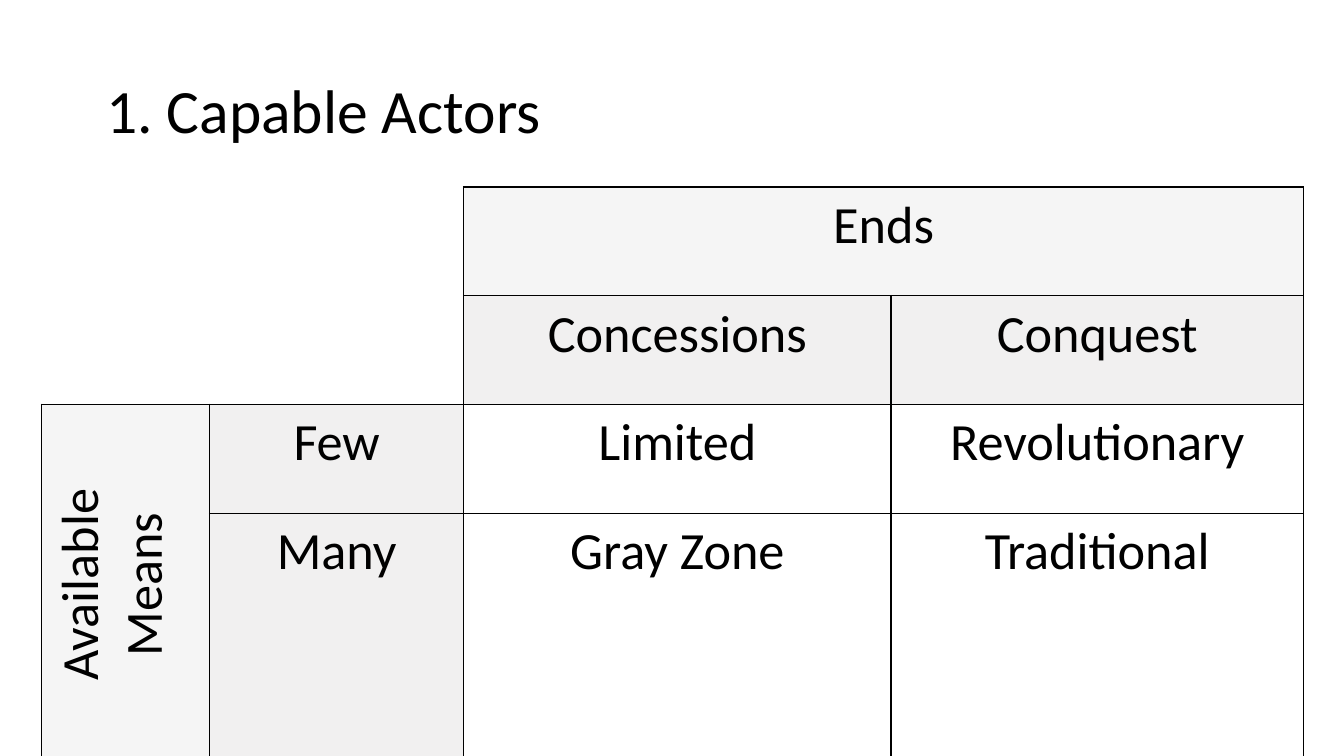
"""Build the Capable Actors slide: a title above a means-and-ends matrix."""
from lxml.etree import SubElement
from pptx import Presentation
from pptx.dml.color import RGBColor
from pptx.enum.text import MSO_ANCHOR, PP_ALIGN
from pptx.oxml.ns import qn
from pptx.util import Inches, Pt

TITLE = "1. Capable Actors"
MATRIX = [
    ["", "", "Ends", ""],
    ["", "", "Concessions", "Conquest"],
    ["Available Means", "Few", "Limited", "Revolutionary"],
    ["", "Many", "Gray Zone", "Traditional"],
]
COLORS = {"ink": "000000", "axis": "F5F5F5", "heading": "F1F0F0"}
PAGE_WIDTH = 10
COLUMN_WIDTHS = [1.25, 1.89, 3.18, 3.07]
ROW_HEIGHT = 0.81
HEADERS = 2


def color(name):
    return RGBColor.from_string(COLORS[name])


def format_text(frame, text, size, align):
    para = frame.paragraphs[0]
    para.alignment = align
    span = para.add_run()
    span.text = text
    formats = {"name": "Calibri", "size": Pt(size), "bold": False}
    for name, value in formats.items():
        setattr(span.font, name, value)
    span.font.color.rgb = color("ink")
    return para


def set_borders(cell, sides):
    properties = cell._tc.get_or_add_tcPr()
    for side in "LRTB":
        line = SubElement(properties, qn(f"a:ln{side}"), w=str(Pt(1)))
        if side in sides:
            fill = SubElement(line, qn("a:solidFill"))
            SubElement(fill, qn("a:srgbClr"), val=COLORS["ink"])
        else:
            SubElement(line, qn("a:noFill"))


def border_sides(row, column):
    if row >= HEADERS or column >= HEADERS:
        return "LRTB"
    return ("R" if column == HEADERS - 1 else "") + ("B" if row == HEADERS - 1 else "")


def fill_name(row, column):
    if row < HEADERS and column < HEADERS:
        return None
    return {0: "axis", 1: "heading"}.get(min(row, column))


deck = Presentation()
deck.slide_width, deck.slide_height = Inches(PAGE_WIDTH), Inches(PAGE_WIDTH * 9 / 16)
page = deck.slides.add_slide(deck.slide_layouts[5])

title = page.shapes.title
place = {"left": 0.69, "top": 0.3, "width": 8.62, "height": 1.09}
for name, value in place.items():
    setattr(title, name, Inches(value))
title.text_frame.vertical_anchor = MSO_ANCHOR.MIDDLE
format_text(title.text_frame, TITLE, 33, PP_ALIGN.LEFT).line_spacing = 0.9

table = page.shapes.add_table(
    len(MATRIX), len(COLUMN_WIDTHS), Inches(0.31), Inches(1.39),
    Inches(sum(COLUMN_WIDTHS)), Inches(ROW_HEIGHT * len(MATRIX))).table
table.first_row = table.horz_banding = False
for column, width in zip(table.columns, COLUMN_WIDTHS):
    column.width = Inches(width)
for row in table.rows:
    row.height = Inches(ROW_HEIGHT)
table.cell(0, 2).merge(table.cell(0, 3))
table.cell(2, 0).merge(table.cell(3, 0))

for r, texts in enumerate(MATRIX):
    for c, text in enumerate(texts):
        cell = table.cell(r, c)
        set_borders(cell, border_sides(r, c))
        shade = fill_name(r, c)
        if shade:
            cell.fill.solid()
            cell.fill.fore_color.rgb = color(shade)
        else:
            cell.fill.background()
        if text:
            format_text(cell.text_frame, text, 28, PP_ALIGN.CENTER)
table.cell(2, 0)._tc.get_or_add_tcPr().set("vert", "vert270")

deck.save("out.pptx")
